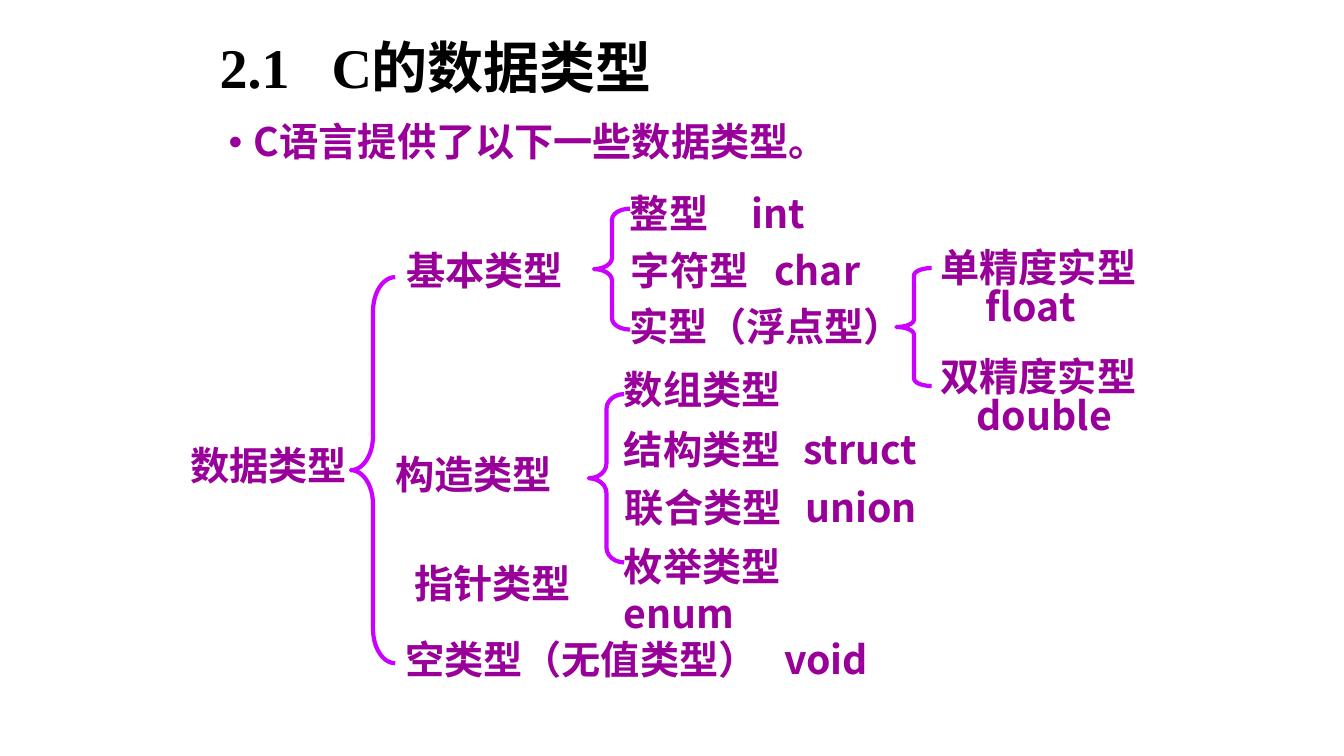
from dataclasses import dataclass
from typing import Optional
from lxml.etree import SubElement
from pptx import Presentation
from pptx.dml.color import RGBColor
from pptx.enum.shapes import MSO_SHAPE
from pptx.enum.text import MSO_ANCHOR, MSO_AUTO_SIZE, PP_ALIGN
from pptx.oxml.ns import qn
from pptx.util import Inches, Pt

SANS = "Noto Sans CJK SC"
SERIF = "Times New Roman"
PURPLE, VIOLET, BLACK = "990099", "CC00FF", "000000"


@dataclass
class Line:
    text: str
    spacing: float = 1.0
    indent: float = 0
    tab: Optional[float] = None
    bullet: bool = False
    align: PP_ALIGN = PP_ALIGN.LEFT


@dataclass
class Label:
    left: float
    top: float
    width: float
    lines: list[Line]
    height: float = 0.57
    wrap: bool = False
    anchor: MSO_ANCHOR = MSO_ANCHOR.TOP
    size: float = 28
    font: str = SANS
    color: str = PURPLE


@dataclass
class Brace:
    left: float
    top: float
    width: float
    height: float
    curve: float


HEADINGS = [
    Label(2.08, 0.25, 9.02, [Line("2.1\tC的数据类型", 0.9, tab=1.11)], 0.8, True,
          MSO_ANCHOR.BOTTOM, 40, SERIF, BLACK),
    Label(2.17, 1.17, 9, [Line("C语言提供了以下一些数据类型。", 0.9, 0.25, bullet=True)],
          5.46, True),
]

TYPES = [
    Label(1.67, 4.33, 1.99, [Line("数据类型", align=PP_ALIGN.CENTER)], wrap=True),
    Label(3.83, 2.39, 1.96, [Line("基本类型", indent=0.1)]),
    Label(3.82, 4.42, 2.01, [Line("构造类型")], wrap=True),
    Label(4.01, 5.5, 1.76, [Line("指针类型")]),
    Label(3.92, 6.25, 4.9, [Line("空类型（无值类型）\tvoid", tab=3.76)]),
    Label(6.15, 1.83, 2.36, [Line("整型\tint", tab=1.21)]),
    Label(6.16, 2.39, 2.55, [Line("字符型\tchar", tab=1.42)]),
    Label(6.14, 2.95, 3.19, [Line("实型（浮点型）")], wrap=True),
    Label(6.09, 3.58, 1.76, [Line("数组类型")]),
    Label(6.09, 4.17, 3.28, [Line("结构类型\tstruct", tab=1.78)]),
    Label(6.1, 4.75, 3.14, [Line("联合类型\tunion", tab=1.79)]),
    Label(6.09, 5.33, 2.94, [Line("枚举类型\venum")], wrap=True),
    Label(9.23, 2.42, 2.17, [Line("单精度实型", 0.9), Line("float", 0.8, 0.45)], 0.9),
    Label(9.23, 3.5, 2.17, [Line("双精度实型", 0.9), Line("double", 0.8, 0.36)], 0.9),
]

BRACES = [
    Brace(3.48, 2.75, 0.44, 3.83, 0.77),
    Brace(5.89, 2.07, 0.36, 1.2, 0.31),
    Brace(5.84, 3.91, 0.35, 1.67, 0.42),
    Brace(8.89, 2.66, 0.35, 1.17, 0.21),
]


def rgb(color: str) -> RGBColor:
    return RGBColor.from_string(color)


def set_all(target, values: dict) -> None:
    for name, value in values.items():
        setattr(target, name, value)


def add_line(p, line: Line, label: Label) -> None:
    pPr = p._p.get_or_add_pPr()
    if line.indent:
        pPr.set("marL", str(Inches(line.indent)))
    if line.bullet:
        pPr.set("indent", str(-Inches(line.indent)))
        SubElement(pPr, qn("a:buFont"), typeface="Arial")
        SubElement(pPr, qn("a:buChar"), char="•")
    if line.tab:
        tabs = SubElement(pPr, qn("a:tabLst"))
        SubElement(tabs, qn("a:tab"), pos=str(Inches(line.tab)), algn="l")
    set_all(p, {"text": line.text, "alignment": line.align,
                "line_spacing": line.spacing, "space_before": Pt(0)})
    for r in p.runs:
        set_all(r.font, {"size": Pt(label.size), "bold": True, "name": label.font})
        r.font.color.rgb = rgb(label.color)
        SubElement(r._r.get_or_add_rPr(), qn("a:ea"), typeface=SANS)


def add_label(s, label: Label) -> None:
    sp = s.shapes.add_textbox(*map(Inches, (label.left, label.top, label.width, label.height)))
    tf = sp.text_frame
    set_all(tf, {"word_wrap": label.wrap, "vertical_anchor": label.anchor,
                 "auto_size": MSO_AUTO_SIZE.NONE})
    for i, line in enumerate(label.lines):
        add_line(tf.add_paragraph() if i else tf.paragraphs[0], line, label)


def add_brace(s, brace: Brace) -> None:
    box = map(Inches, (brace.left, brace.top, brace.width, brace.height))
    sp = s.shapes.add_shape(MSO_SHAPE.LEFT_BRACE, *box)
    sp.adjustments[0] = brace.curve
    sp.shadow.inherit = False
    sp.fill.background()
    sp.line.color.rgb = rgb(VIOLET)
    sp.line.width = Pt(3)


def main() -> None:
    prs = Presentation()
    set_all(prs, {"slide_width": Inches(13.33), "slide_height": Inches(7.5)})
    s = prs.slides.add_slide(prs.slide_layouts[6])
    for label in HEADINGS + TYPES:
        add_label(s, label)
    for brace in BRACES:
        add_brace(s, brace)
    prs.save("out.pptx")


if __name__ == "__main__":
    main()
